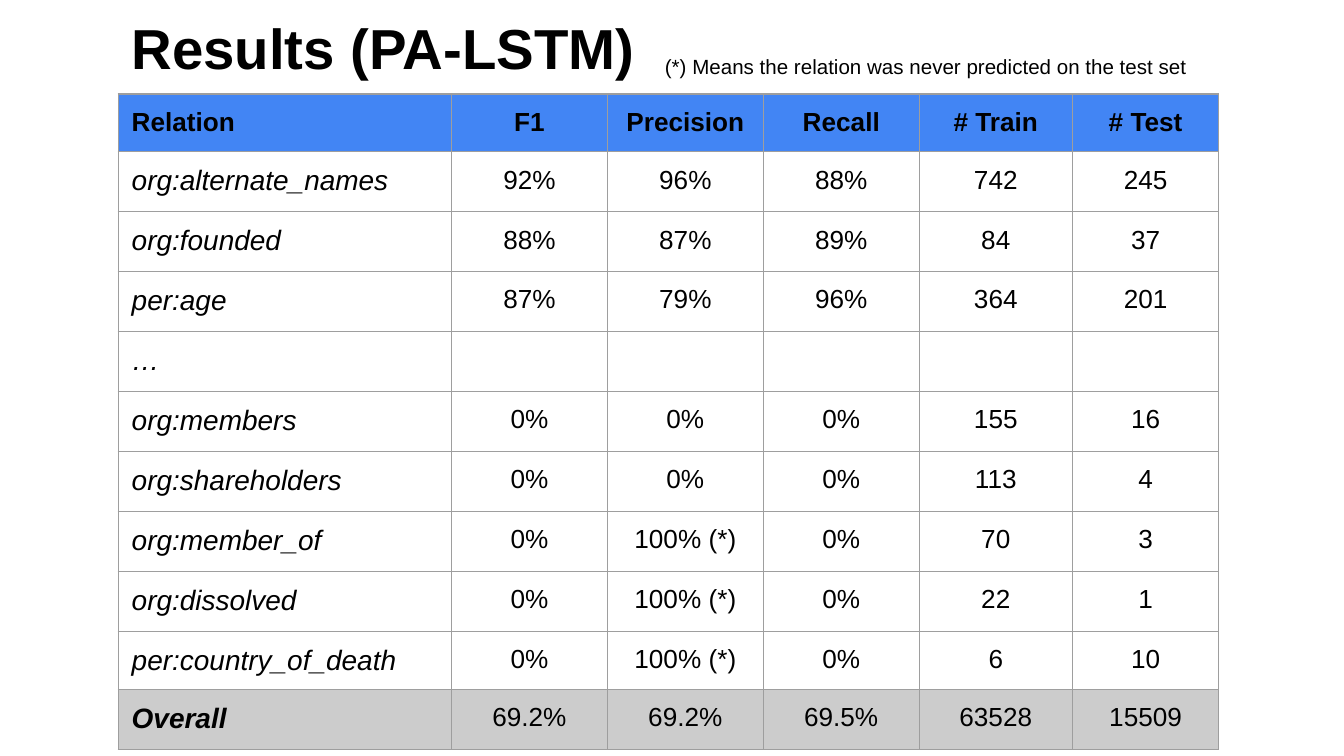
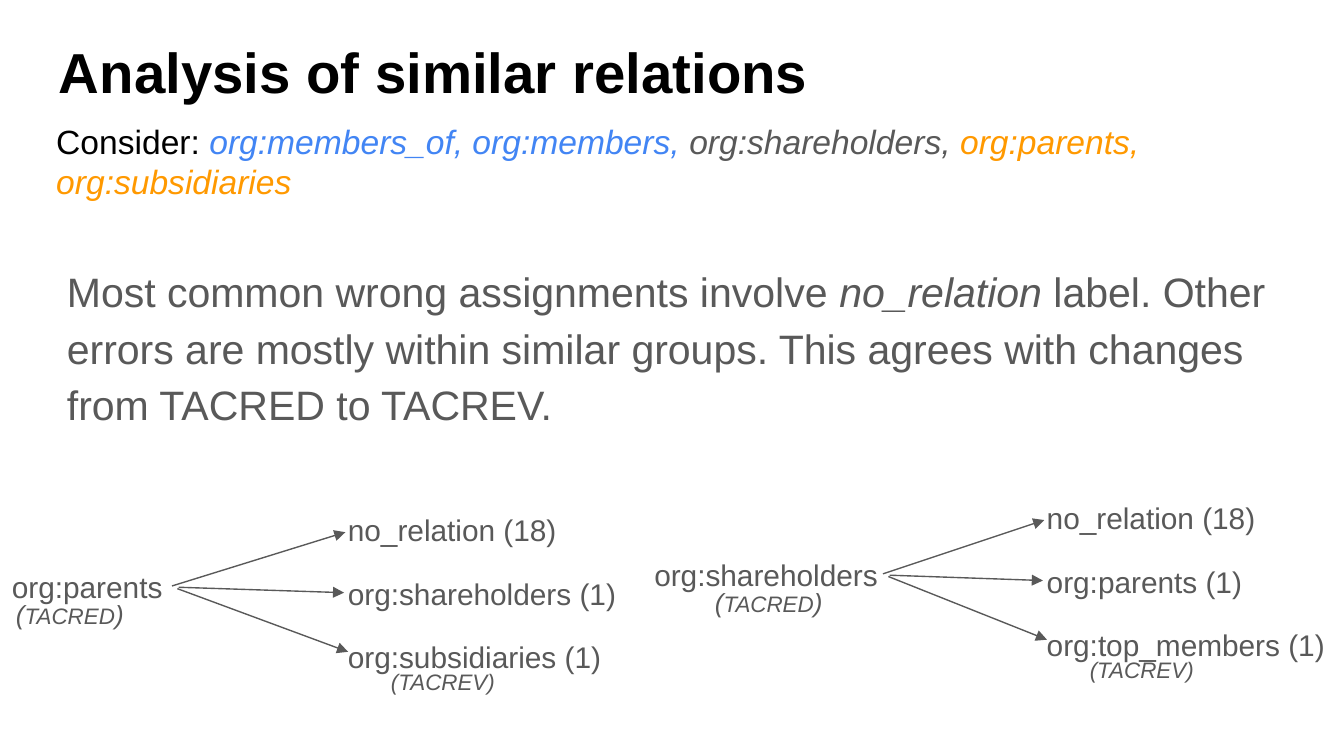
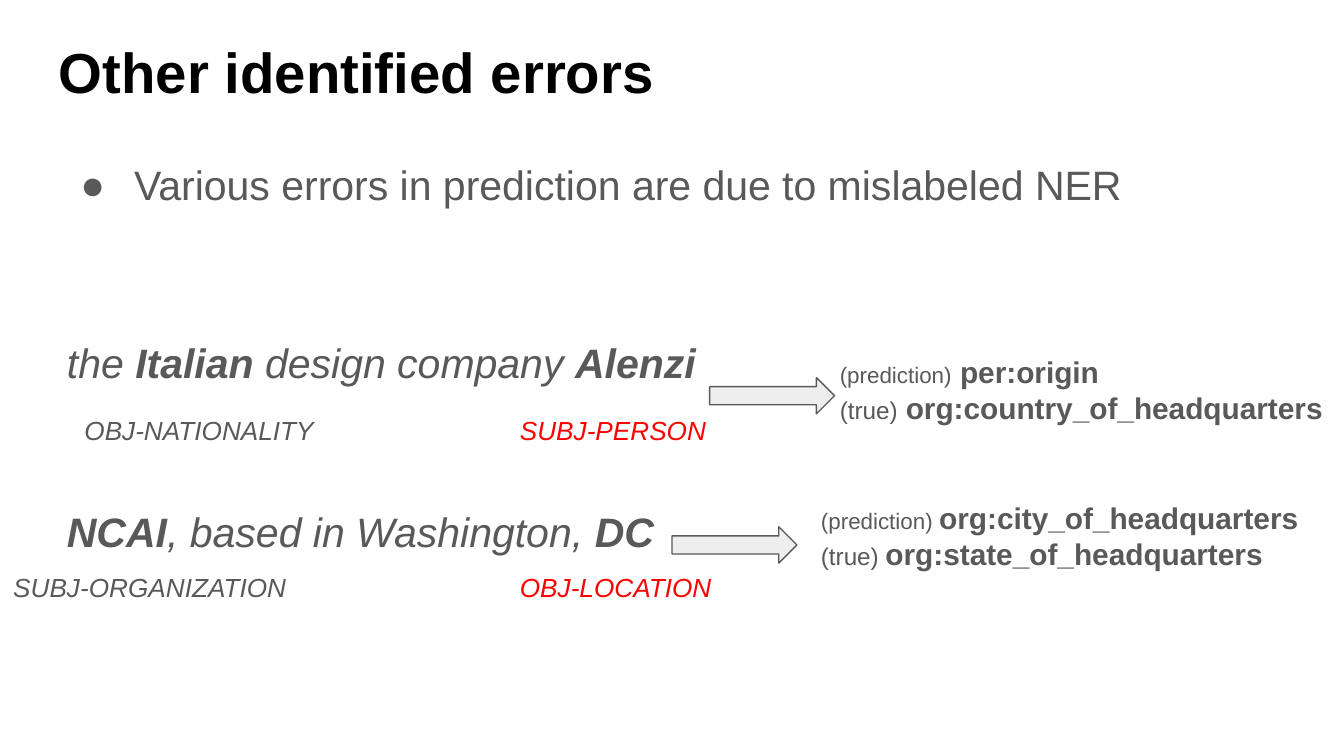
from dataclasses import dataclass

from lxml import etree
from pptx import Presentation
from pptx.dml.color import RGBColor
from pptx.enum.shapes import MSO_CONNECTOR as Connector, MSO_SHAPE as Shape
from pptx.enum.text import MSO_ANCHOR as Anchor, PP_ALIGN as Align
from pptx.oxml.ns import qn
from pptx.util import Inches, Pt

FONT = "Arial"
COLORS = {
    "black": "000000",
    "gray": "595959",
    "blue": "4285F4",
    "orange": "FF9900",
    "red": "FF0000",
    "border": "9E9E9E",
    "total": "CCCCCC",
    "arrow": "EEEEEE",
}


@dataclass
class Span:
    text: str
    size: float = 16
    color: str = "gray"
    bold: bool = False
    italic: bool = False


@dataclass
class Para:
    spans: list[Span]
    align: Align = Align.LEFT
    spacing: float = 1.0
    before: float = 0
    bullet: bool = False


@dataclass
class ErrorTree:
    root: str
    root_left: float
    source_left: float
    fan_left: float
    branch_left: float
    top: float
    branches: list[str]


@dataclass
class Prediction:
    left: float
    top: float
    predicted: list[Span]
    true: list[Span]


# Shared helpers
def rgb(name: str) -> RGBColor:
    return RGBColor.from_string(COLORS[name])


def style(font, span: Span) -> None:
    font.name, font.size = FONT, Pt(span.size)
    font.bold, font.italic = span.bold, span.italic
    font.color.rgb = rgb(span.color)


def add_bullet(paragraph) -> None:
    properties = paragraph._p.get_or_add_pPr()
    properties.set("marL", str(Inches(0.5)))
    properties.set("indent", str(Inches(-0.4)))
    color = etree.SubElement(properties, qn("a:buClr"))
    etree.SubElement(color, qn("a:srgbClr")).set("val", COLORS["gray"])
    etree.SubElement(properties, qn("a:buFont")).set("typeface", FONT)
    etree.SubElement(properties, qn("a:buChar")).set("char", "●")


def add_text(page, left: float, top: float, width: float, height: float,
             paras: list[Para]) -> None:
    box = page.shapes.add_textbox(Inches(left), Inches(top), Inches(width), Inches(height))
    frame = box.text_frame
    frame.word_wrap = True
    frame.vertical_anchor = Anchor.TOP
    frame.margin_left = frame.margin_right = Inches(0.1)
    frame.margin_top = frame.margin_bottom = Inches(0.1)
    for index, para in enumerate(paras):
        paragraph = frame.add_paragraph() if index else frame.paragraphs[0]
        if para.bullet:
            add_bullet(paragraph)
        paragraph.alignment = para.align
        paragraph.line_spacing = para.spacing
        if para.before:
            paragraph.space_before = Pt(para.before)
        for span in para.spans:
            run = paragraph.add_run()
            run.text = span.text
            style(run.font, span)


def add_title(page, text: str, left: float = 0.34, top: float = 0.18,
              width: float = 9.32) -> None:
    add_text(page, left, top, width, 0.63, [Para([Span(text, 30.2, "black", bold=True)])])


def add_arrow(page, start: tuple[float, float], end: tuple[float, float]) -> None:
    line = page.shapes.add_connector(Connector.STRAIGHT, *map(Inches, start + end))
    line.line.color.rgb = rgb("gray")
    line.line.width = Pt(0.75)
    etree.SubElement(line.line._get_or_add_ln(), qn("a:tailEnd")).set("type", "triangle")
    etree.SubElement(line._element.spPr, qn("a:effectLst"))


# Results table
HEADER = ["Relation", "F1", "Precision", "Recall", "# Train", "# Test"]
RESULTS = [
    ["org:alternate_names", "92%", "96%", "88%", "742", "245"],
    ["org:founded", "88%", "87%", "89%", "84", "37"],
    ["per:age", "87%", "79%", "96%", "364", "201"],
    ["…", "", "", "", "", ""],
    ["org:members", "0%", "0%", "0%", "155", "16"],
    ["org:shareholders", "0%", "0%", "0%", "113", "4"],
    ["org:member_of", "0%", "100% (*)", "0%", "70", "3"],
    ["org:dissolved", "0%", "100% (*)", "0%", "22", "1"],
    ["per:country_of_death", "0%", "100% (*)", "0%", "6", "10"],
]
OVERALL = ["Overall", "69.2%", "69.2%", "69.5%", "63528", "15509"]
COLUMN_WIDTHS = [2.48, 1.16, 1.16, 1.16, 1.14, 1.09]
BODY_ROW = Inches(3.57) // 8
# The last relation row shrinks to its text
ROW_HEIGHTS = [Inches(0.43)] + [BODY_ROW] * 8 + [Inches(0), BODY_ROW]


def add_borders(cell) -> None:
    properties = cell._tc.get_or_add_tcPr()
    for index, side in enumerate(("lnL", "lnR", "lnT", "lnB")):
        line = etree.Element(qn(f"a:{side}"), w=str(Pt(0.75)))
        fill = etree.SubElement(line, qn("a:solidFill"))
        etree.SubElement(fill, qn("a:srgbClr")).set("val", COLORS["border"])
        properties.insert(index, line)


def fill_cell(cell, span: Span, align: Align, fill: str | None) -> None:
    cell.margin_left = cell.margin_right = Inches(0.1)
    cell.margin_top = cell.margin_bottom = Inches(0.1)
    cell.vertical_anchor = Anchor.TOP
    if fill:
        cell.fill.solid()
        cell.fill.fore_color.rgb = rgb(fill)
    else:
        cell.fill.background()
    add_borders(cell)
    cell.text_frame.text = span.text
    paragraph = cell.text_frame.paragraphs[0]
    paragraph.alignment = align
    style(paragraph.font, span)
    for run in paragraph.runs:
        style(run.font, span)


def build_results(page) -> None:
    rows = [HEADER, *RESULTS, OVERALL]
    table = page.shapes.add_table(
        len(rows), len(HEADER), Inches(0.88), Inches(0.7),
        Inches(sum(COLUMN_WIDTHS)), sum(ROW_HEIGHTS)).table
    table.first_row = table.horz_banding = False
    for column, width in zip(table.columns, COLUMN_WIDTHS):
        column.width = Inches(width)
    for row, height in zip(table.rows, ROW_HEIGHTS):
        row.height = height
    for r, values in enumerate(rows):
        is_header, is_total = r == 0, r == len(rows) - 1
        fill = "blue" if is_header else "total" if is_total else None
        for c, value in enumerate(values):
            is_name = c == 0 and not is_header
            span = Span(value, 15 if is_name else 14, "black",
                        bold=is_header or (is_total and is_name), italic=is_name)
            fill_cell(table.cell(r, c), span, Align.CENTER if c else Align.LEFT, fill)
    add_title(page, "Results (PA-LSTM)", 0.88, 0, 4.38)
    note = Span("(*) Means the relation was never predicted on the test set", 11, "black")
    add_text(page, 4.7, 0.31, 4.38, 0.39, [Para([note], Align.CENTER)])


# Similar relations
TREES = [
    ErrorTree("org:parents", -0.01, 0.02, 1.28, 2.49, 3.67,
              ["no_relation (18)", "org:shareholders (1)", "org:subsidiaries (1)"]),
    ErrorTree("org:shareholders", 4.77, 5.22, 6.57, 7.69, 3.58,
              ["no_relation (18)", "org:parents (1)", "org:top_members (1)"]),
]
# Arrow start and end, measured from the fan and from the branch list
FAN = [((0, 0.69), (0.08, 0.29)), ((0.05, 0.7), (0.07, 0.74)), ((0.04, 0.71), (0.1, 1.18))]


def add_tree(page, tree: ErrorTree) -> None:
    add_text(page, tree.root_left, tree.top + 0.42, 2.67, 0.78,
             [Para([Span(tree.root)], spacing=1.15)])
    add_text(page, tree.branch_left, tree.top, 3.17, 1.54,
             [Para([Span(name)], spacing=1.15, before=12 if index else 0)
              for index, name in enumerate(tree.branches)])
    for (start_x, start_y), (end_x, end_y) in FAN:
        add_arrow(page, (tree.fan_left + start_x, tree.top + start_y),
                  (tree.branch_left + end_x, tree.top + end_y))
    add_text(page, tree.source_left, tree.top + 0.68, 1.45, 0.51, [Para([
        Span("(", 14, italic=True), Span("TACRED", 12, italic=True),
        Span(")", 14, italic=True)])])
    add_text(page, tree.branch_left + 0.32, tree.top + 1.2, 1.45, 0.51,
             [Para([Span("(TACREV)", 12, italic=True)])])


def build_similar(page) -> None:
    add_title(page, "Analysis of similar relations")
    add_text(page, 0.4, 1.83, 9.2, 1.54, [Para([
        Span("Most common wrong assignments involve ", 22),
        Span("no_relation", 22, italic=True),
        Span(" label. Other errors are mostly within similar groups. "
             "This agrees with changes from TACRED to TACREV.", 22)], spacing=1.15)])
    add_text(page, 0.32, 0.8, 9.68, 0.84, [Para([
        Span("Consider:", 18, "black"),
        Span(" org:members_of, org:members, ", 18, "blue", italic=True),
        Span("org:shareholders, ", 18, italic=True),
        Span("org:parents, org:subsidiaries", 18, "orange", italic=True)])])
    for tree in TREES:
        add_tree(page, tree)


# Other errors
ENTITY_LABELS = [
    (0.53, 2.98, 2.16, 0.36, "OBJ-NATIONALITY", "gray"),
    (3.77, 2.98, 1.64, 0.36, "SUBJ-PERSON", "red"),
    (0, 4.15, 2.27, 0.27, "SUBJ-ORGANIZATION", "gray"),
    (3.77, 4.15, 1.73, 0.36, "OBJ-LOCATION", "red"),
]
PREDICTIONS = [
    Prediction(6.15, 2.53,
               [Span("(prediction)", 12), Span(" per:origin", bold=True)],
               [Span("(true)", 13), Span(" org:country_of_headquarters", bold=True)]),
    Prediction(6.01, 3.62,
               [Span("(prediction) ", 12), Span("org:city_of_headquarters", bold=True)],
               [Span("(true) ", 13), Span("org:state_of_headquarters", bold=True)]),
]
BLOCK_ARROWS = [(5.28, 2.81), (5, 3.92)]


def example(text: str, bold: bool = False) -> Span:
    return Span(text, 22, bold=bold, italic=True)


def build_other(page) -> None:
    add_title(page, "Other identified errors")
    add_text(page, 0.4, 1.13, 9.2, 4.35, [
        Para([Span("Various errors in prediction are due to mislabeled NER", 22)],
             spacing=0.9, bullet=True),
        Para([example("the "), example("Italian ", True), example("design company "),
              example("Alenzi", True)], spacing=0.9, before=71.5),
        Para([example("NCAI", True), example(", based in Washington, "),
              example("DC", True)], spacing=0.9, before=66.5),
    ])
    for left, top in BLOCK_ARROWS:
        arrow = page.shapes.add_shape(Shape.RIGHT_ARROW, Inches(left), Inches(top),
                                      Inches(0.93), Inches(0.27))
        arrow.shadow.inherit = False
        arrow.fill.solid()
        arrow.fill.fore_color.rgb = rgb("arrow")
        arrow.line.color.rgb = rgb("gray")
        arrow.line.width = Pt(0.75)
    for left, top, width, height, text, color in ENTITY_LABELS:
        add_text(page, left, top, width, height,
                 [Para([Span(text, 14, color, italic=True)])])
    for item in PREDICTIONS:
        add_text(page, item.left, item.top, 3.85, 0.57,
                 [Para(item.predicted), Para(item.true)])


def main() -> None:
    deck = Presentation()
    deck.slide_width = Inches(10)
    deck.slide_height = deck.slide_width * 9 // 16
    for build in (build_results, build_similar, build_other):
        build(deck.slides.add_slide(deck.slide_layouts[6]))
    deck.save("out.pptx")


if __name__ == "__main__":
    main()
